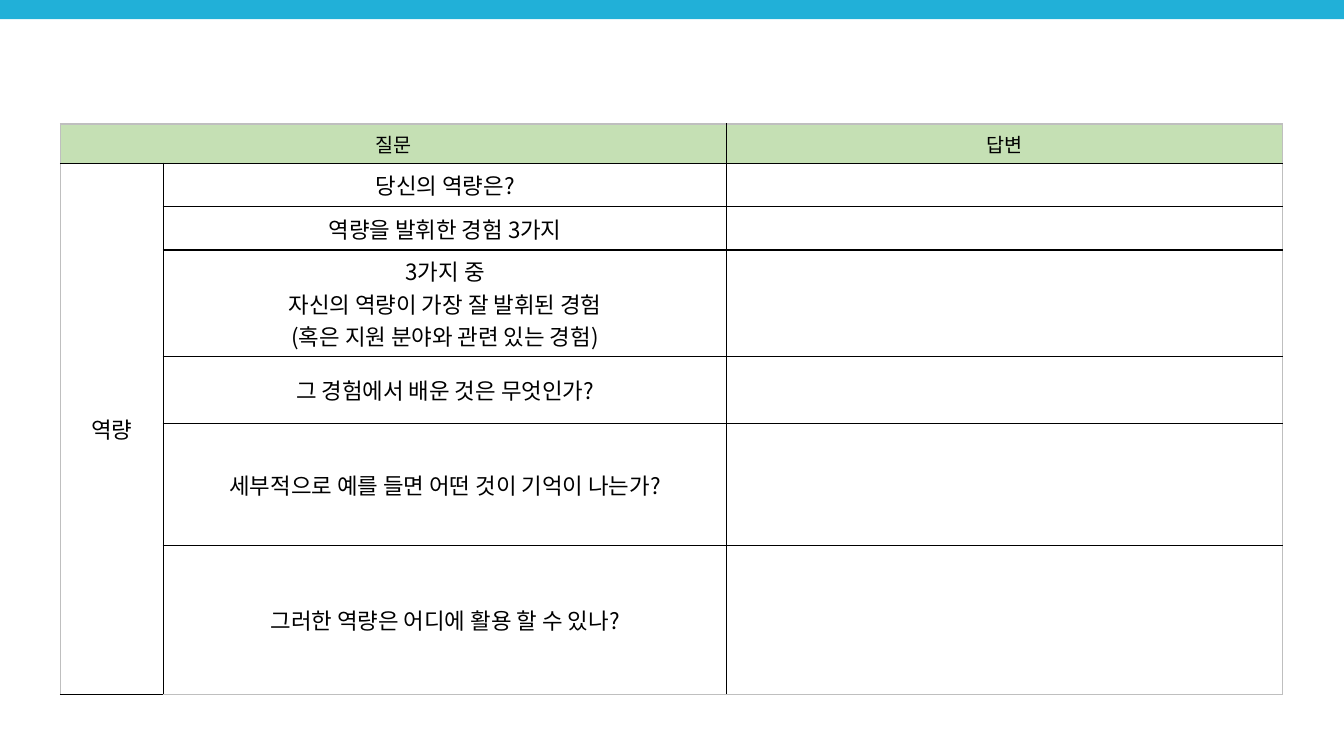
from lxml import etree
from pptx import Presentation
from pptx.dml.color import RGBColor
from pptx.enum.shapes import MSO_SHAPE
from pptx.enum.text import MSO_ANCHOR, PP_ALIGN
from pptx.oxml.ns import qn
from pptx.util import Inches, Pt

RECT = MSO_SHAPE.RECTANGLE
MIDDLE = MSO_ANCHOR.MIDDLE
CENTER = PP_ALIGN.CENTER

# Content
HEADS = ("질문", "", "답변")
TOPIC = "역량"
ASKS = [
    ("당신의 역량은?",),
    ("역량을 발휘한 경험 3가지",),
    ("3가지 중", "자신의 역량이 가장 잘 발휘된 경험",
     "(혹은 지원 분야와 관련 있는 경험)"),
    ("그 경험에서 배운 것은 무엇인가?",),
    ("세부적으로 예를 들면 어떤 것이 기억이 나는가?",),
    ("그러한 역량은 어디에 활용 할 수 있나?",),
]

# Style
FONT = "Noto Sans CJK KR"
BLUE = RGBColor(0x21, 0xB0, 0xD8)
GREEN = RGBColor(0xC5, 0xE0, 0xB4)
BLACK = RGBColor(0, 0, 0)
GREY = RGBColor(0xBF, 0xBF, 0xBF)
COLS = (1.02, 5.59, 5.51)
ROWS = (0.39, 0.43, 0.43, 1.06, 0.66, 1.21, 1.48)


def write(cell, lines, size):
    cell.vertical_anchor = MIDDLE
    frame = cell.text_frame
    for i, line in enumerate(lines):
        para = frame.add_paragraph() if i else frame.paragraphs[0]
        para.alignment = CENTER
        run = para.add_run()
        run.text = line
        run.font.size = Pt(size)
        run.font.name = FONT
        run.font.color.rgb = BLACK
        east = etree.SubElement(run.font._element, qn("a:ea"))
        east.set("typeface", FONT)


def edge(cell, side, color):
    line = etree.SubElement(cell._tc.get_or_add_tcPr(), qn("a:ln" + side))
    line.set("w", str(Pt(1)))
    fill = etree.SubElement(line, qn("a:solidFill"))
    etree.SubElement(fill, qn("a:srgbClr")).set("val", str(color))


deck = Presentation()
deck.slide_width = Inches(13.33)
deck.slide_height = Inches(7.5)
slide = deck.slides.add_slide(deck.slide_layouts[6])

# Top band
band = slide.shapes.add_shape(RECT, 0, 0, deck.slide_width, Inches(0.19))
band.shadow.inherit = False
band.fill.solid()
band.fill.fore_color.rgb = BLUE
band.line.fill.background()

# Table grid
grid = slide.shapes.add_table(
    len(ROWS), len(COLS), Inches(0.6), Inches(1.23),
    Inches(sum(COLS)), Inches(sum(ROWS))).table
for col, width in zip(grid.columns, COLS):
    col.width = Inches(width)
for row, height in zip(grid.rows, ROWS):
    row.height = Inches(height)

# Borders: grey outside, black inside; green header
for r in range(len(ROWS)):
    for c in range(len(COLS)):
        cell = grid.cell(r, c)
        outer = {"L": c == 0, "R": c == len(COLS) - 1,
                 "T": r == 0, "B": r == len(ROWS) - 1}
        for side, out in outer.items():
            edge(cell, side, GREY if out else BLACK)
        if r == 0:
            cell.fill.solid()
            cell.fill.fore_color.rgb = GREEN
        else:
            cell.fill.background()

# Merges and text
grid.cell(0, 0).merge(grid.cell(0, 1))
grid.cell(1, 0).merge(grid.cell(len(ROWS) - 1, 0))
for c, head in enumerate(HEADS):
    if head:
        write(grid.cell(0, c), [head], 14)
write(grid.cell(1, 0), [TOPIC], 16)
for r, ask in enumerate(ASKS, 1):
    write(grid.cell(r, 1), ask, 16)

deck.save("out.pptx")
